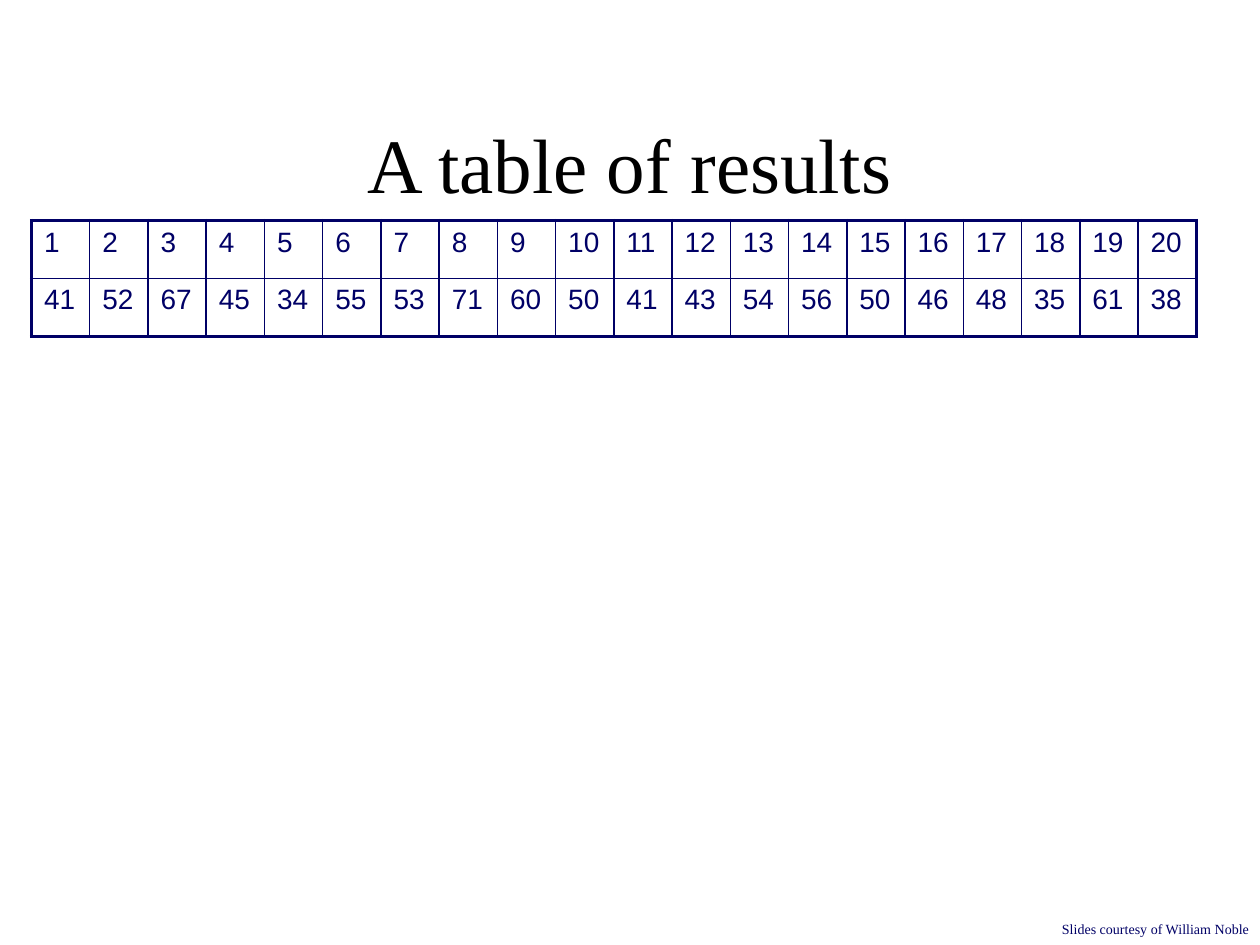
from dataclasses import dataclass

from lxml.etree import SubElement
from pptx import Presentation
from pptx.dml.color import RGBColor as RGB
from pptx.enum.text import MSO_ANCHOR, PP_ALIGN
from pptx.oxml.ns import qn
from pptx.util import Inches, Pt


@dataclass(frozen=True)
class Theme:
    black: str = "000000"
    navy: str = "000066"
    serif: str = "Times New Roman"
    sans: str = "Arial"
    title: int = 44
    cell: int = 16
    credit: int = 8
    outer: float = 2.25
    inner: float = 1


T = Theme()
RESULTS = [
    range(1, 21),
    [41, 52, 67, 45, 34, 55, 53, 71, 60, 50, 41, 43, 54, 56, 50, 46, 48, 35, 61, 38],
]


def style(p, face, size, color):
    p.font.name = face
    p.font.size = Pt(size)
    p.font.color.rgb = RGB.from_string(color)


def add_border(cell, side, width):
    """Draw one side (L, R, T or B); call before the cell's fill is set."""
    ln = SubElement(cell._tc.get_or_add_tcPr(), qn(f"a:ln{side}"), w=str(Pt(width)))
    fill = SubElement(ln, qn("a:solidFill"))
    SubElement(fill, qn("a:srgbClr"), val=T.navy)


prs = Presentation()
prs.slide_width, prs.slide_height = Inches(10), Inches(7.5)
s = prs.slides.add_slide(prs.slide_layouts[5])

# Title
title = s.shapes.title
title.left, title.top = Inches(0.75), Inches(0.67)
title.width, title.height = Inches(8.5), Inches(1.25)
tf = title.text_frame
tf.text = "A table of results"
tf.vertical_anchor = MSO_ANCHOR.MIDDLE
tf.paragraphs[0].alignment = PP_ALIGN.CENTER
style(tf.paragraphs[0], T.serif, T.title, T.black)

# Results table
n_rows, n_cols = len(RESULTS), len(RESULTS[0])
table = s.shapes.add_table(
    n_rows, n_cols, Inches(0.25), Inches(1.75), Inches(9.25), Inches(0.92)
).table
table.first_row = table.horz_banding = False
for r, values in enumerate(RESULTS):
    for c, value in enumerate(values):
        cell = table.cell(r, c)
        cell.text = str(value)
        style(cell.text_frame.paragraphs[0], T.sans, T.cell, T.navy)
        edges = {"L": c == 0, "R": c == n_cols - 1, "T": r == 0, "B": r == n_rows - 1}
        for side, on_edge in edges.items():
            add_border(cell, side, T.outer if on_edge else T.inner)
        cell.fill.background()

# Credit line
credit = s.shapes.add_textbox(Inches(8.33), Inches(7.26), Inches(1.7), Inches(0.24))
tf = credit.text_frame
tf.word_wrap = False
tf.text = "Slides courtesy of William Noble"
style(tf.paragraphs[0], T.serif, T.credit, T.navy)

prs.save("out.pptx")
